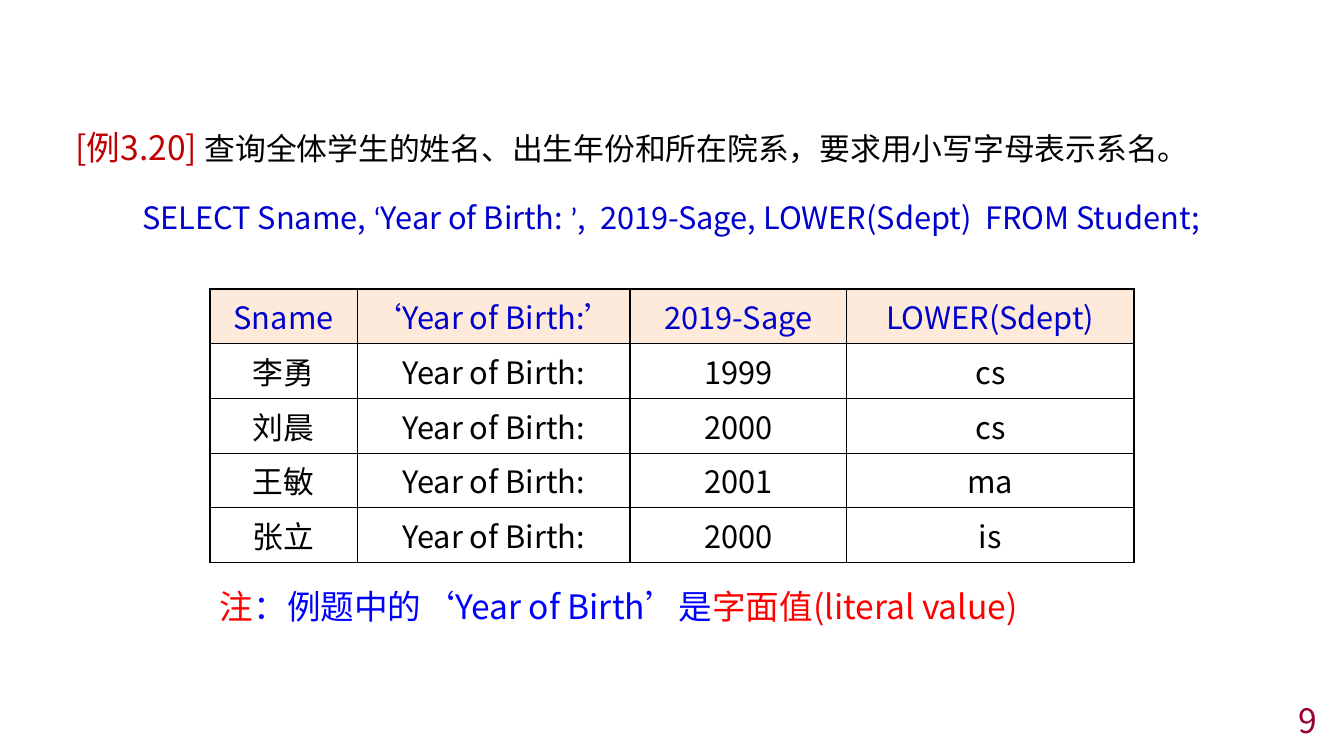
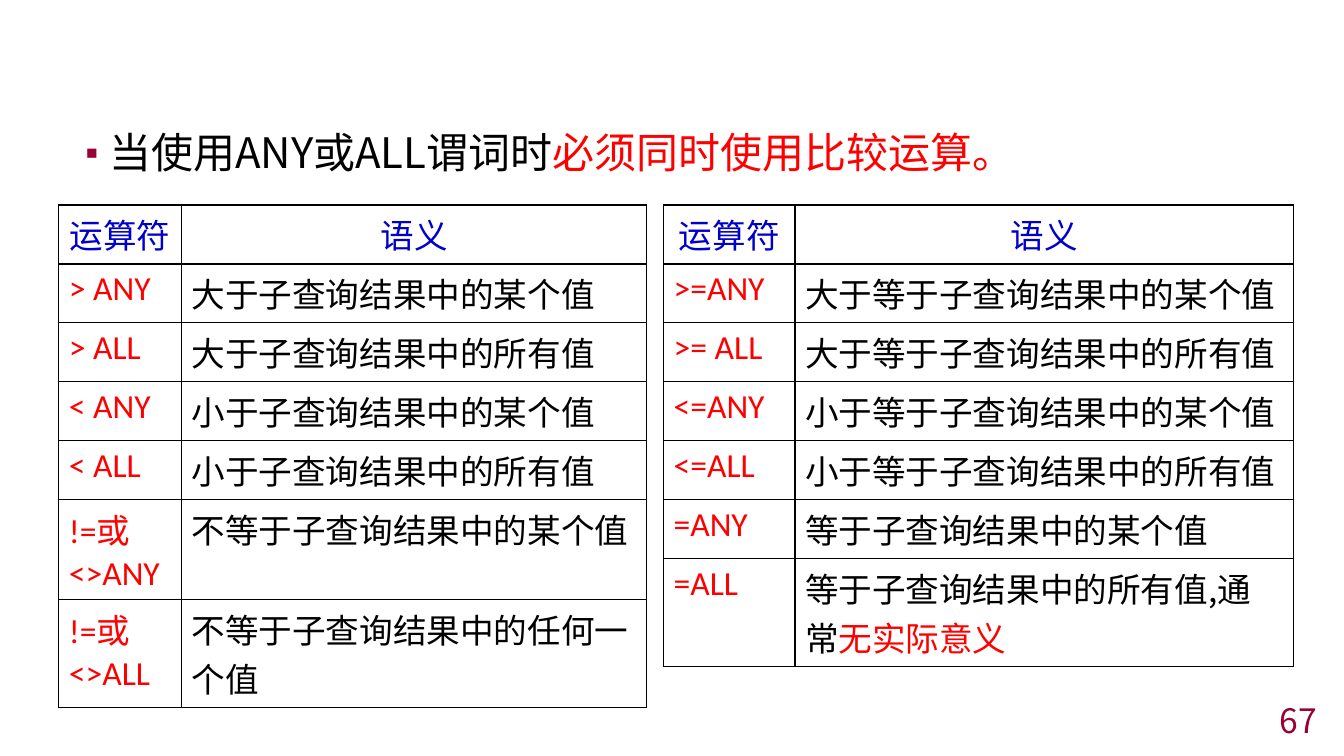
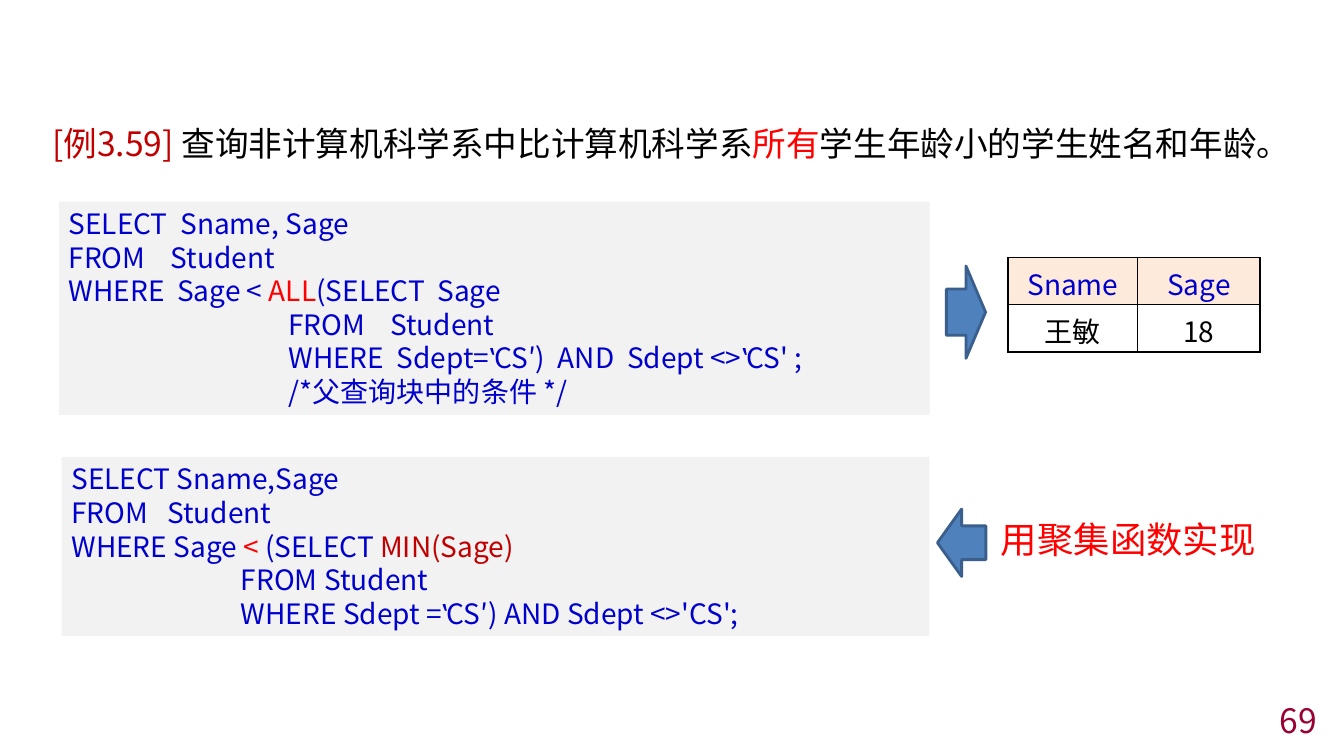
from dataclasses import dataclass
from typing import NamedTuple, Optional

from lxml.etree import SubElement
from pptx import Presentation
from pptx.dml.color import RGBColor
from pptx.enum.shapes import MSO_SHAPE as Shape
from pptx.enum.text import MSO_ANCHOR as Anchor, MSO_AUTO_SIZE as AutoSize, PP_ALIGN as Align
from pptx.oxml.ns import qn
from pptx.util import Pt

# Shared look
SANS, CALIBRI = "Noto Sans CJK SC", "Calibri"
BLACK, RED, DARK_RED, MAROON = "000000", "FF0000", "C00000", "990033"
CODE_BLUE, NOTE_BLUE = "0000CC", "0000FF"
PEACH, GREY, ARROW_FILL, ARROW_LINE = "FDEADA", "F2F2F2", "4F81BD", "3A5F8C"
CODE_SIZE, CODE_PITCH = 20, 24


class Box(NamedTuple):
    left: float
    top: float
    width: float
    height: float


class Run(NamedTuple):
    text: str
    color: str = BLACK
    font: str = SANS
    size: Optional[float] = None


@dataclass
class Cell:
    runs: list[Run]
    align: Align = Align.CENTER
    fill: Optional[str] = None


@dataclass
class CodePanel:
    box: Box
    lines: list[list[Run]]


@dataclass
class Arrow:
    kind: Shape
    box: Box


@dataclass
class OperatorTable:
    left: float
    widths: list[float]
    heights: list[float]
    meanings: dict[str, list[Run]]


def rgb(color: str) -> RGBColor:
    return RGBColor.from_string(color)


def place(sp, box: Box) -> None:
    sp.left, sp.top, sp.width, sp.height = map(Pt, box)


def add_run(p, text: str, *, size: float, color: str = BLACK, font: str = SANS) -> None:
    r = p.add_run()
    r.text = text
    r.font.size, r.font.name = Pt(size), font
    r.font.color.rgb = rgb(color)
    SubElement(r.font._element, qn("a:ea")).set("typeface", SANS)


def write(tf, paragraphs: list[list[Run]], *, size: float, align: Align = Align.LEFT,
          pitch: Optional[float] = None) -> None:
    """Fill a text frame; pitch is an exact line height."""
    for i, runs in enumerate(paragraphs):
        p = tf.add_paragraph() if i else tf.paragraphs[0]
        p.alignment = align
        if pitch:
            p.line_spacing = Pt(pitch)
        for run in runs:
            add_run(p, run.text, size=run.size or size, color=run.color, font=run.font)


def add_label(s, box: Box, runs: list[Run], *, size: float, align: Align = Align.LEFT,
              anchor: Anchor = Anchor.TOP) -> None:
    sp = s.shapes.add_textbox(*map(Pt, box))
    tf = sp.text_frame
    tf.word_wrap, tf.vertical_anchor = True, anchor
    write(tf, [runs], size=size, align=align)


def set_bullet(p, char: str, color: str, indent: float) -> None:
    pPr = p._p.get_or_add_pPr()
    pPr.set("marL", str(Pt(indent)))
    pPr.set("indent", str(-Pt(indent)))
    SubElement(SubElement(pPr, qn("a:buClr")), qn("a:srgbClr")).set("val", color)
    SubElement(pPr, qn("a:buSzPct")).set("val", "80000")
    SubElement(pPr, qn("a:buFont")).set("typeface", SANS)
    SubElement(pPr, qn("a:buChar")).set("char", char)


def new_slide(prs, number: int, heading: list[Run], *, size: float = 24, left: float = 46.8,
              top: float = 87, width: float = 865, bullet: bool = False):
    """Slide with its heading and its page number."""
    s = prs.slides.add_slide(prs.slide_layouts[5])
    title = s.shapes.title
    place(title, Box(left, top, width, 52))
    tf = title.text_frame
    tf.word_wrap, tf.auto_size, tf.vertical_anchor = True, AutoSize.NONE, Anchor.TOP
    if bullet:
        set_bullet(tf.paragraphs[0], "▪", MAROON, 21)
    write(tf, [heading], size=size)
    add_label(s, Box(743.8, 503.3, 203.8, 22.3), [Run(str(number), MAROON)], size=24,
              align=Align.RIGHT, anchor=Anchor.MIDDLE)
    return s


def set_borders(cell) -> None:
    tcPr = cell._tc.get_or_add_tcPr()
    for side in ("lnL", "lnR", "lnT", "lnB"):
        ln = SubElement(tcPr, qn(f"a:{side}"), w=str(Pt(1)))
        SubElement(SubElement(ln, qn("a:solidFill")), qn("a:srgbClr")).set("val", BLACK)


def add_grid(s, left: float, top: float, widths: list[float], heights: list[float],
             rows: list[list[Cell]], *, size: float, pitch: Optional[float] = None,
             margins: tuple[float, float] = (3.6, 3.6)) -> None:
    """Table with black borders; margins are the top and bottom ones of each cell."""
    table = s.shapes.add_table(len(rows), len(widths), Pt(left), Pt(top), Pt(sum(widths)),
                               Pt(sum(heights))).table
    table.first_row = table.horz_banding = False
    for column, width in zip(table.columns, widths):
        column.width = Pt(width)
    for r, (row, height) in enumerate(zip(rows, heights)):
        table.rows[r].height = Pt(height)
        for c, content in enumerate(row):
            cell = table.cell(r, c)
            cell.margin_top, cell.margin_bottom = map(Pt, margins)
            set_borders(cell)
            if content.fill:
                cell.fill.solid()
                cell.fill.fore_color.rgb = rgb(content.fill)
            else:
                cell.fill.background()
            write(cell.text_frame, [content.runs], size=size, align=content.align, pitch=pitch)


def result_rows(header: list[str], records: list[list[str]]) -> list[list[Cell]]:
    """Query result: blue names on peach, then centred black values."""
    head = [Cell([Run(name, CODE_BLUE)], fill=PEACH) for name in header]
    return [head] + [[Cell([Run(value)]) for value in record] for record in records]


def operator_rows(meanings: dict[str, list[Run]]) -> list[list[Cell]]:
    """Operators in red beside what they mean."""
    head = [Cell([Run(name, CODE_BLUE)]) for name in ("运算符", "语义")]
    return [head] + [[Cell([Run(op, RED, CALIBRI)], Align.LEFT), Cell(runs, Align.LEFT)]
                     for op, runs in meanings.items()]


def add_shape(s, kind: Shape, box: Box, fill: str, line: Optional[str] = None):
    sp = s.shapes.add_shape(kind, *map(Pt, box))
    sp.shadow.inherit = False
    sp.fill.solid()
    sp.fill.fore_color.rgb = rgb(fill)
    if line:
        sp.line.color.rgb, sp.line.width = rgb(line), Pt(2)
    else:
        sp.line.fill.background()
    return sp


def add_code(s, panel: CodePanel) -> None:
    tf = add_shape(s, Shape.RECTANGLE, panel.box, GREY).text_frame
    tf.word_wrap, tf.vertical_anchor = True, Anchor.TOP
    write(tf, panel.lines, size=CODE_SIZE, pitch=CODE_PITCH)


def code(text: str) -> Run:
    return Run(text, CODE_BLUE)


def literal_slide(prs) -> None:
    s = new_slide(prs, 9, [
        Run("[例3.20] ", DARK_RED),
        Run("查询全体学生的姓名、出生年份和所在院系，要求用小写字母表示系名。", size=22)])
    # Query
    add_label(s, Box(46.8, 138.2, 865, 40), [
        code("SELECT Sname, "), Run("‘", CODE_BLUE, CALIBRI), code("Year of Birth: "),
        Run("’", CODE_BLUE, CALIBRI), code(",  2019-Sage, LOWER(Sdept)  FROM Student;")],
        size=22, align=Align.CENTER)
    # Result
    students = [("李勇", "1999", "cs"), ("刘晨", "2000", "cs"),
                ("王敏", "2001", "ma"), ("张立", "2000", "is")]
    rows = result_rows(["Sname", "‘Year of Birth:’", "2019-Sage", "LOWER(Sdept)"],
                       [[name, "Year of Birth:", year, dept] for name, year, dept in students])
    add_grid(s, 150, 206.4, [105.2, 194.8, 154.8, 205.2], [39.1] * 5, rows, size=22)
    # Remark
    add_label(s, Box(150, 414.7, 678, 42), [
        Run("注", RED), Run("：例题中的‘Year of Birth’是", NOTE_BLUE),
        Run("字面值(literal value)", RED)], size=24)


def predicate_slide(prs) -> None:
    s = new_slide(prs, 67, [Run("当使用ANY或ALL谓词时"), Run("必须同时使用比较运算。", RED)],
                  size=30, bullet=True)
    # Rows tall enough for one line, or for two wrapped lines
    one_line, two_mixed, two_lines = 42.1, 71.5, 77
    strict = OperatorTable(42, [87.6, 332.4], [one_line] * 5 + [two_mixed, two_lines], {
        "> ANY": [Run("大于子查询结果中的某个值")],
        "> ALL": [Run("大于子查询结果中的所有值")],
        "< ANY": [Run("小于子查询结果中的某个值")],
        "< ALL": [Run("小于子查询结果中的所有值")],
        "!=或<>ANY": [Run("不等于子查询结果中的某个值")],
        "!=或<>ALL": [Run("不等于子查询结果中的任何一个值")],
    })
    inclusive = OperatorTable(474, [93.8, 356.2], [one_line] * 6 + [two_lines], {
        ">=ANY": [Run("大于等于子查询结果中的某个值")],
        ">= ALL": [Run("大于等于子查询结果中的所有值")],
        "<=ANY": [Run("小于等于子查询结果中的某个值")],
        "<=ALL": [Run("小于等于子查询结果中的所有值")],
        "=ANY": [Run("等于子查询结果中的某个值")],
        "=ALL": [Run("等于子查询结果中的所有值,通常"), Run("无实际意义", RED)],
    })
    for t in (strict, inclusive):
        add_grid(s, t.left, 146.4, t.widths, t.heights, operator_rows(t.meanings), size=24)


def aggregate_slide(prs) -> None:
    s = new_slide(prs, 69, [
        Run("[例3.59] ", DARK_RED), Run("查询非计算机科学系中比计算机科学系"), Run("所有", RED),
        Run("学生年龄小的学生姓名和年龄。")], left=30.2, top=84, width=915)
    # Queries
    panels = [
        CodePanel(Box(42, 144, 622, 152.4), [
            [code("SELECT  Sname, Sage")],
            [code("FROM    Student")],
            [code("WHERE  Sage < "), Run("ALL", RED), code("(SELECT  Sage")],
            [code("                                   FROM    Student")],
            [code("                                   WHERE  Sdept=‛CS′)  AND  Sdept <>‛CS' ;")],
            [code("                                   /*父查询块中的条件 */")]]),
        CodePanel(Box(44, 326.4, 620, 128), [
            [code("SELECT Sname,Sage")],
            [code("FROM   Student")],
            [code("WHERE Sage "), Run("< ", RED), code("(SELECT "), Run("MIN(Sage)", DARK_RED)],
            [code("                           FROM Student")],
            [code("                           WHERE Sdept =‛CS′) AND Sdept <>'CS';")]]),
    ]
    for panel in panels:
        add_code(s, panel)
    # Result and remark, each with its arrow
    add_grid(s, 720, 184.2, [92.8, 87.2], [33.6] * 2,
             result_rows(["Sname", "Sage"], [["王敏", "18"]]),
             size=CODE_SIZE, pitch=CODE_PITCH, margins=(8.6, 0.5))
    add_label(s, Box(704, 365.6, 204, 45), [Run("用聚集函数实现", RED)], size=26,
              align=Align.CENTER)
    for arrow in (Arrow(Shape.RIGHT_ARROW, Box(676, 190, 28, 66)),
                  Arrow(Shape.LEFT_ARROW, Box(669.6, 363.6, 34.6, 48.2))):
        add_shape(s, arrow.kind, arrow.box, ARROW_FILL, ARROW_LINE)


def main() -> None:
    prs = Presentation()
    prs.slide_width, prs.slide_height = Pt(960), Pt(540)
    for build in (literal_slide, predicate_slide, aggregate_slide):
        build(prs)
    prs.save("out.pptx")


if __name__ == "__main__":
    main()
